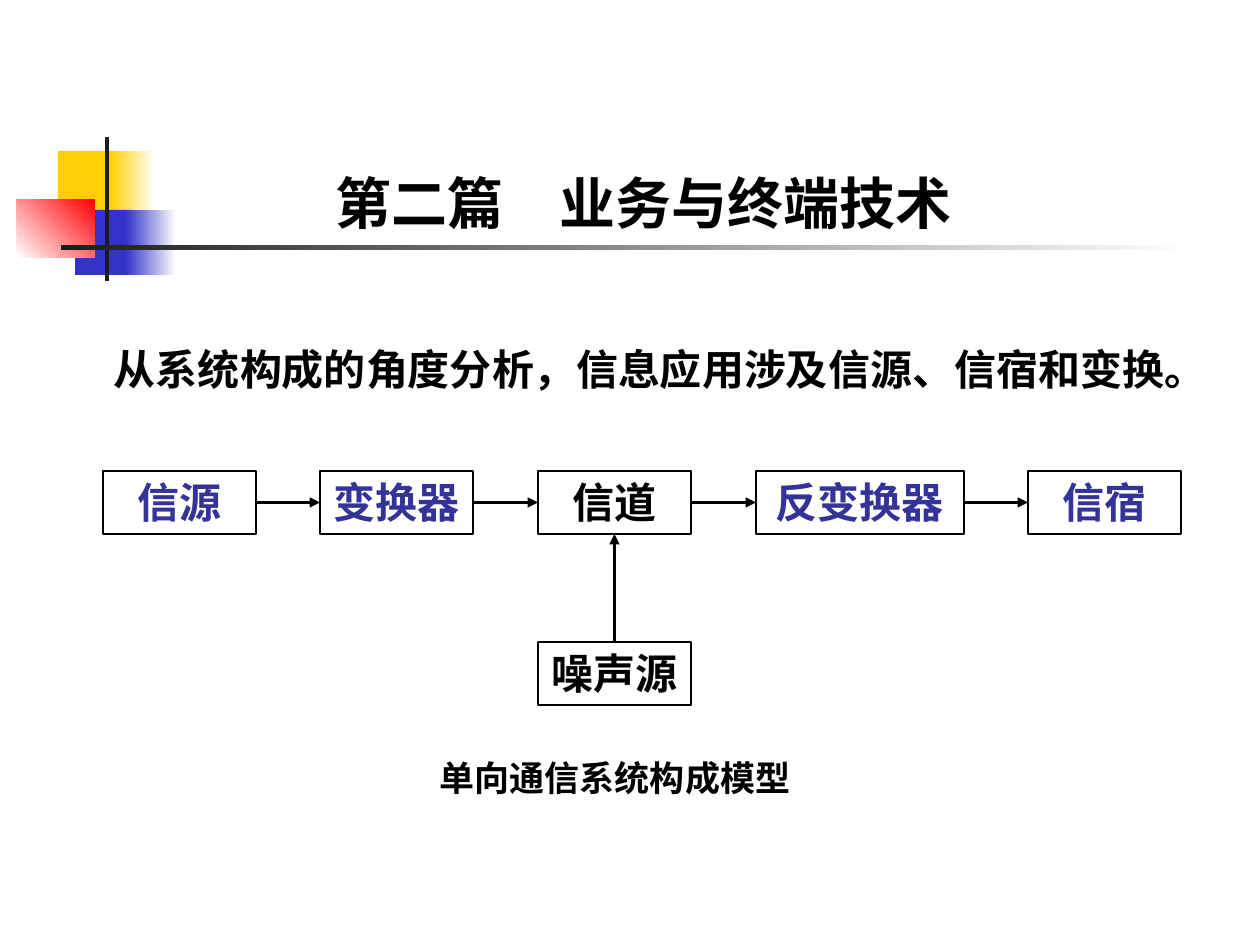
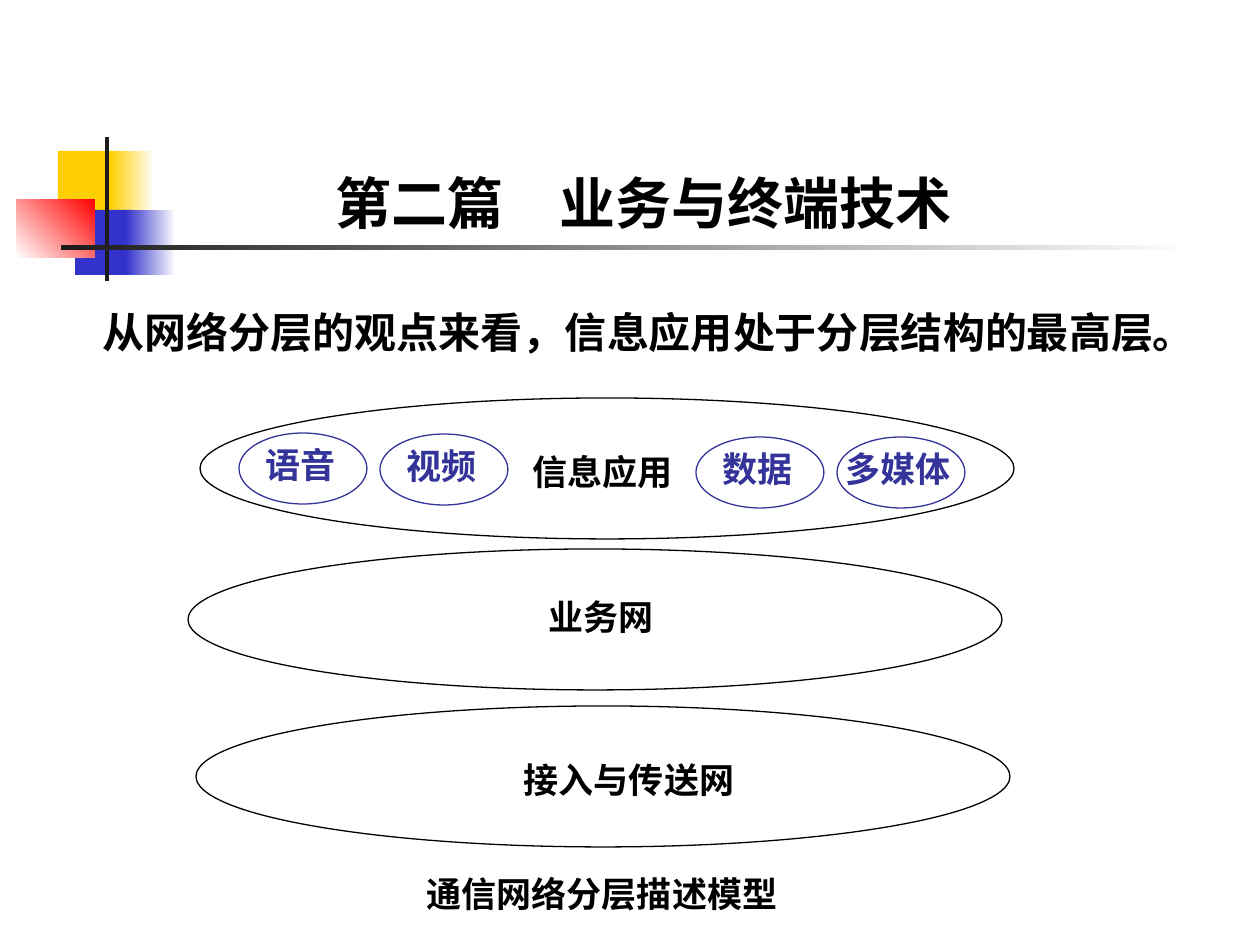
from lxml import etree
from pptx import Presentation
from pptx.dml.color import RGBColor
from pptx.enum.shapes import MSO_CONNECTOR, MSO_SHAPE
from pptx.enum.text import MSO_ANCHOR, PP_ALIGN
from pptx.oxml.ns import qn
from pptx.util import Emu, Pt

RECT, OVAL = MSO_SHAPE.RECTANGLE, MSO_SHAPE.OVAL
STRAIGHT = MSO_CONNECTOR.STRAIGHT
LEFT, CENTER = PP_ALIGN.LEFT, PP_ALIGN.CENTER
TOP, BOTTOM = MSO_ANCHOR.TOP, MSO_ANCHOR.BOTTOM
SIDE_TOP, SIDE_LEFT, SIDE_BOTTOM, SIDE_RIGHT = range(4)

COLORS = {
    "black": "000000", "white": "FFFFFF", "ink": "1C1C1C", "navy": "333399",
    "yellow": "FFCF01", "blue": "3333CC", "red": "FF0000",
}
TITLE_FONT, LABEL_FONT, BODY_FONT = "Arial", "Karla", "Times New Roman"

# Shared content: title and the decoration (box, colours, gradient angle)
TITLE = "第二篇　业务与终端技术"
TITLE_BOX = (159, 84, 970, 158)
DECORATION = [
    ((58, 151, 60, 66), ["yellow"], 0),
    ((110, 151, 45, 66), ["yellow", "white"], 0),
    ((75, 210, 58, 65), ["blue"], 0),
    ((126, 210, 50, 65), ["blue", "white"], 0),
    ((17, 199, 78, 59), ["white", "red"], 45),
    ((105, 137, 4, 144), ["ink"], 0),
    ((61, 245, 1134, 5), ["ink", "white"], 0),
]

# Slide 1: one-way chain (text, left, width, colour), joined from left to right
SYSTEM_TEXT = "从系统构成的角度分析，信息应用涉及信源、信宿和变换。"
SYSTEM_CAPTION = "单向通信系统构成模型"
CHAIN = [
    ("信源", 103, 153, "navy"),
    ("变换器", 320, 153, "navy"),
    ("信道", 538, 153, "black"),
    ("反变换器", 756, 208, "navy"),
    ("信宿", 1028, 153, "navy"),
]
CHANNEL = 2
NOISE = "噪声源"
CHAIN_Y, NOISE_Y, BOX_H = 471, 642, 63

# Slide 2: layers (left, top), their labels (text, box) and applications
LAYER_TEXT = "从网络分层的观点来看，信息应用处于分层结构的最高层。"
LAYER_CAPTION = "通信网络分层描述模型"
LAYER_SIZE, APP_SIZE = (814, 141), (128, 71)
LAYERS = [
    (200, 398, "信息应用", 519, 444, 167),
    (188, 549, "业务网", 534, 589, 135),
    (196, 706, "接入与传送网", 413, 752, 432),
]
APPS = [
    ("语音", 239, 433),
    ("视频", 380, 434),
    ("数据", 696, 437),
    ("多媒体", 837, 437),
]
LABEL_H = 55


def px(v):
    return Emu(round(v * 914400 / 126))


def rgb(name):
    return RGBColor.from_string(COLORS[name])


def write(sp, text, size, font, color, align=CENTER, anchor=TOP, inset=12):
    tf = sp.text_frame
    tf.word_wrap = True
    tf.vertical_anchor = anchor
    tf.margin_left = tf.margin_right = px(inset)
    tf.margin_top = tf.margin_bottom = px(6)
    p = tf.paragraphs[0]
    p.text = text
    p.alignment = align
    p.font.size, p.font.name, p.font.bold = Pt(size), font, True
    p.font.color.rgb = rgb(color)


def add_text(slide, box, *args, **style):
    write(slide.shapes.add_textbox(*map(px, box)), *args, **style)


def add_label(slide, box, text, color="black"):
    add_text(slide, box, text, 20, LABEL_FONT, color)


def add_shape(slide, kind, box):
    sp = slide.shapes.add_shape(kind, *map(px, box))
    sp.shadow.inherit = False
    return sp


def add_outline(slide, kind, box, color, width):
    sp = add_shape(slide, kind, box)
    sp.fill.background()
    sp.line.color.rgb = rgb(color)
    sp.line.width = Pt(width)
    return sp


def add_block(slide, text, x, y, w, color):
    sp = add_outline(slide, RECT, (x, y, w, BOX_H), "black", 1.5)
    write(sp, text, 24, LABEL_FONT, color, inset=7)
    return sp


def add_arrow(slide, start, start_side, end, end_side):
    line = slide.shapes.add_connector(STRAIGHT, 0, 0, 0, 0)
    line.begin_connect(start, start_side)
    line.end_connect(end, end_side)
    line.line.color.rgb = rgb("black")
    line.line.width = Pt(1.5)
    ln = line.line._get_or_add_ln()
    etree.SubElement(ln, qn("a:tailEnd"), type="triangle")
    etree.SubElement(line._element.spPr, qn("a:effectLst"))


def add_slide(prs, body, body_box, caption, caption_box):
    slide = prs.slides.add_slide(prs.slide_layouts[6])
    for box, colors, angle in DECORATION:
        sp = add_shape(slide, RECT, box)
        sp.line.fill.background()
        if len(colors) == 1:
            sp.fill.solid()
            sp.fill.fore_color.rgb = rgb(colors[0])
        else:
            sp.fill.gradient()
            sp.fill.gradient_angle = angle
            for stop, color in zip(sp.fill.gradient_stops, colors):
                stop.color.rgb = rgb(color)
    add_text(slide, TITLE_BOX, TITLE, 32, TITLE_FONT, "black", anchor=BOTTOM)
    add_text(slide, body_box, body, 24, BODY_FONT, "black", align=LEFT)
    add_label(slide, caption_box, caption)
    return slide


def build_system(prs):
    slide = add_slide(prs, SYSTEM_TEXT, (102, 338, 1105, 63),
                      SYSTEM_CAPTION, (372, 750, 486, LABEL_H))
    blocks = [add_block(slide, text, x, CHAIN_Y, w, color)
              for text, x, w, color in CHAIN]
    for start, end in zip(blocks, blocks[1:]):
        add_arrow(slide, start, SIDE_RIGHT, end, SIDE_LEFT)
    # Noise enters the channel from below
    _, x, w, color = CHAIN[CHANNEL]
    noise = add_block(slide, NOISE, x, NOISE_Y, w, color)
    add_arrow(slide, noise, SIDE_TOP, blocks[CHANNEL], SIDE_BOTTOM)


def build_layers(prs):
    slide = add_slide(prs, LAYER_TEXT, (91, 301, 1087, 63),
                      LAYER_CAPTION, (359, 866, 486, LABEL_H))
    for x, y, text, label_x, label_y, label_w in LAYERS:
        add_outline(slide, OVAL, (x, y, *LAYER_SIZE), "black", 0.75)
        add_label(slide, (label_x, label_y, label_w, LABEL_H), text)
    for text, x, y in APPS:
        add_outline(slide, OVAL, (x, y, *APP_SIZE), "navy", 0.75)
        add_label(slide, (x - 6, y + 4, 135, LABEL_H), text, "navy")


def main():
    prs = Presentation()
    prs.slide_width, prs.slide_height = px(1260), px(945)
    build_system(prs)
    build_layers(prs)
    prs.save("out.pptx")


if __name__ == "__main__":
    main()
